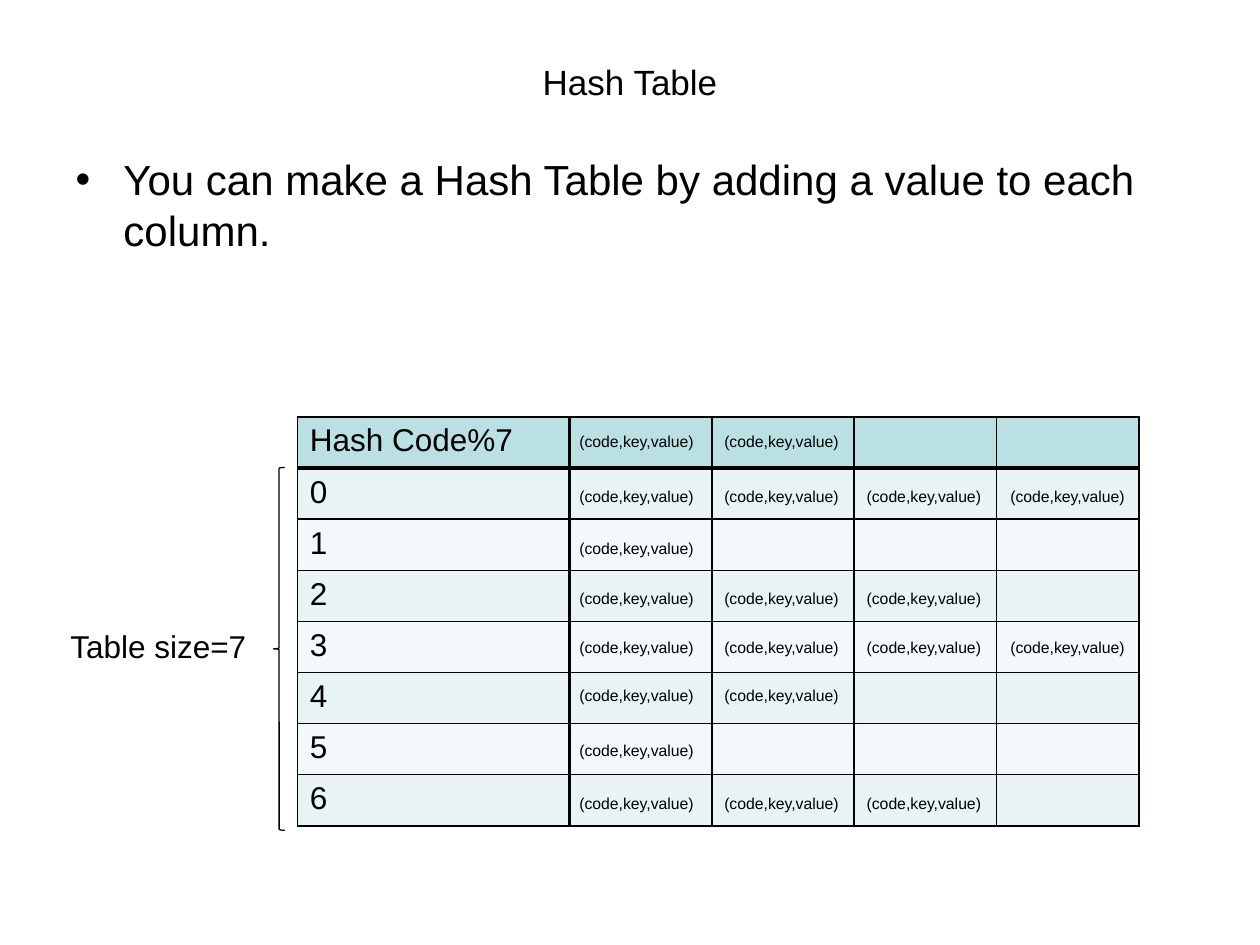
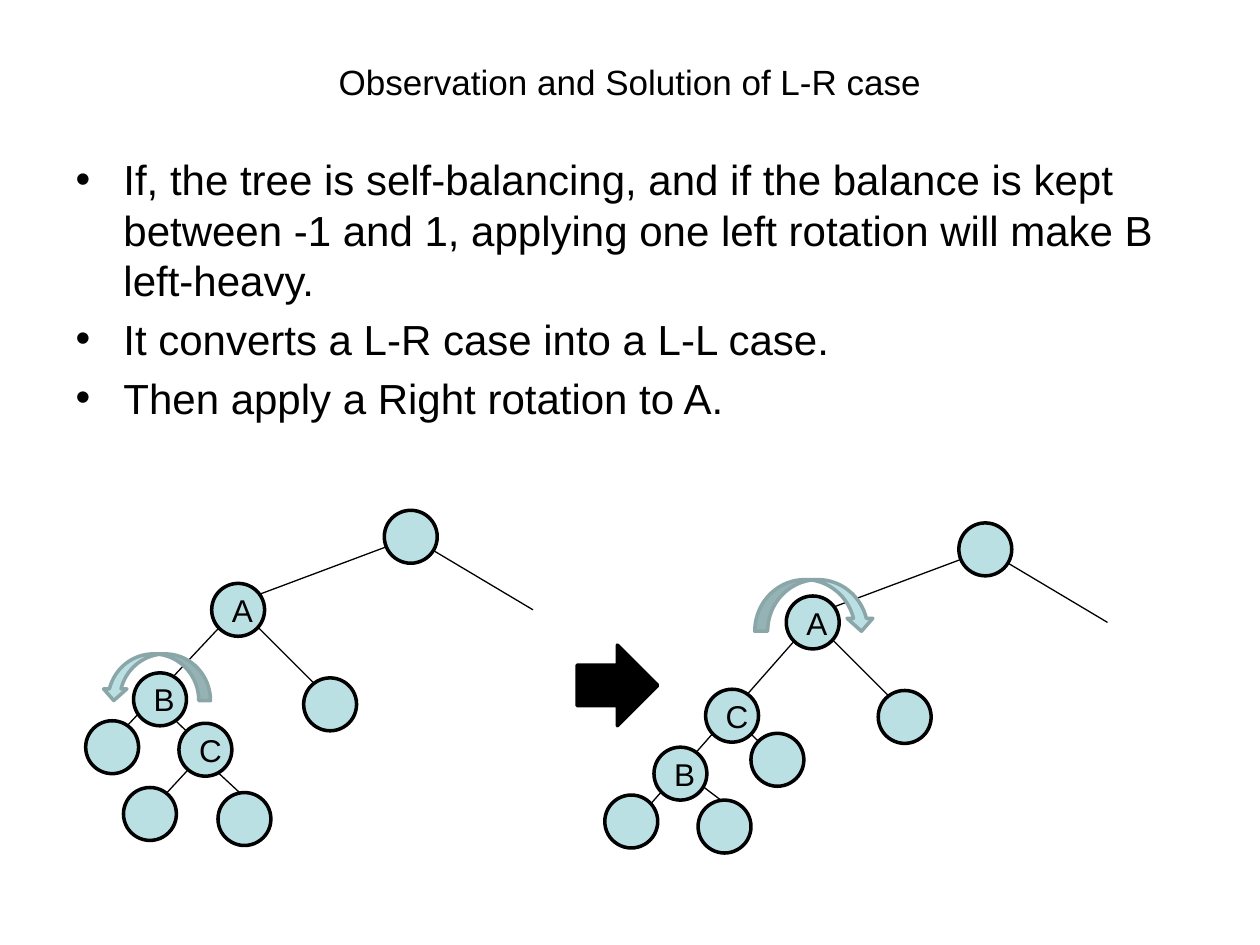
"""Build two slides on hash tables and the left-right tree rotation."""

from lxml.etree import SubElement
from pptx import Presentation
from pptx.dml.color import RGBColor
from pptx.enum.shapes import MSO_CONNECTOR, MSO_SHAPE
from pptx.enum.text import MSO_ANCHOR, MSO_AUTO_SIZE, PP_ALIGN
from pptx.oxml.ns import qn
from pptx.util import Inches, Pt

BLACK = RGBColor(0x00, 0x00, 0x00)
TEAL = RGBColor(0xBB, 0xE0, 0xE3)
TEAL_EDGE = RGBColor(0x8A, 0xA6, 0xA8)
BAND_DARK = RGBColor(0xE7, 0xF3, 0xF4)
BAND_LIGHT = RGBColor(0xF3, 0xF9, 0xFA)
NODE_SIZE = 0.42


def write(para, text, size):
    """Put black Arial text of a given point size in a paragraph."""
    span = para.add_run()
    span.text = text
    for name, value in {"name": "Arial", "size": Pt(size), "bold": False}.items():
        setattr(span.font, name, value)
    span.font.color.rgb = BLACK


def draw(page, kind, place, fill, edge, width):
    """Add a preset shape without shadow."""
    shape = page.shapes.add_shape(kind, *map(Inches, place))
    shape.shadow.inherit = False
    if fill is None:
        shape.fill.background()
    else:
        shape.fill.solid()
        shape.fill.fore_color.rgb = fill
    shape.line.color.rgb = edge
    shape.line.width = Pt(width)
    return shape


deck = Presentation()
deck.slide_width = Inches(10)
deck.slide_height = Inches(7.5)

contents = [
    ("Hash Table", 1.81, ["You can make a Hash Table by adding a value to each column."]),
    ("Observation and Solution of L-R case", 5.53, [
        "If, the tree is self-balancing, and if the balance is kept between -1 and 1, "
        "applying one left rotation will make B left-heavy.",
        "It converts a L-R case into a L-L case.",
        "Then apply a Right rotation to A.",
    ]),
]
pages = []
for heading, body_height, points in contents:
    page = deck.slides.add_slide(deck.slide_layouts[1])
    pages.append(page)
    title, body = page.placeholders
    for box, top, height, anchor in [
        (title, 0.3, 0.7, MSO_ANCHOR.MIDDLE),
        (body, 1.17, body_height, MSO_ANCHOR.TOP),
    ]:
        box.left, box.top, box.width, box.height = map(Inches, (0.5, top, 9, height))
        box.text_frame.vertical_anchor = anchor
        box.text_frame.auto_size = MSO_AUTO_SIZE.NONE
    para = title.text_frame.paragraphs[0]
    para.alignment = PP_ALIGN.CENTER
    write(para, heading, 20)
    for index, point in enumerate(points):
        para = body.text_frame.add_paragraph() if index else body.text_frame.paragraphs[0]
        para.space_before = Pt(4.8 if index else 0)
        settings = para._p.get_or_add_pPr()
        settings.set("marL", str(Inches(0.38)))
        settings.set("indent", str(-Inches(0.38)))
        SubElement(settings, qn("a:buFont"), typeface="Arial")
        SubElement(settings, qn("a:buChar"), char="•")
        write(para, point, 24)

hash_page, rotation_page = pages

row_labels = ["Hash Code%7", *map(str, range(7))]
frame = hash_page.shapes.add_table(8, 5, *map(Inches, (2.36, 3.31, 6.67, 3.24)))
table = frame.table
for index, column in enumerate(table.columns):
    column.width = Inches(1.13 if index else 2.16)
for row_index, label in enumerate(row_labels):
    table.rows[row_index].height = Inches(3.24 / 8)
    for column_index in range(5):
        cell = table.cell(row_index, column_index)
        thick_sides = {"L": column_index == 1, "R": column_index == 0,
                       "T": row_index == 1, "B": row_index == 0}
        for side, thick in thick_sides.items():
            border = SubElement(cell._tc.get_or_add_tcPr(), qn(f"a:ln{side}"),
                                w=str(Pt(2.25 if thick else 1)))
            paint = SubElement(border, qn("a:solidFill"))
            SubElement(paint, qn("a:srgbClr"), val=str(BLACK))
        cell.fill.solid()
        band = BAND_DARK if row_index % 2 else BAND_LIGHT
        cell.fill.fore_color.rgb = band if row_index else TEAL
        if column_index == 0:
            write(cell.text_frame.paragraphs[0], label, 18)

draw(hash_page, MSO_SHAPE.LEFT_BRACE, (2.17, 3.71, 0.09, 2.88), None, BLACK, 0.75)
size_box = hash_page.shapes.add_textbox(*map(Inches, (0.46, 4.93, 1.69, 0.4)))
size_box.text_frame.word_wrap = True
write(size_box.text_frame.paragraphs[0], "Table size=7", 18)

entry_lefts = [4.5, 5.65, 6.78, 7.92]
entry_rows = [(3.38, 2), (3.81, 4), (4.23, 1), (4.62, 3),
              (5.01, 4), (5.39, 2), (5.83, 1), (6.25, 3)]
for top, count in entry_rows:
    for left in entry_lefts[:count]:
        entry = hash_page.shapes.add_textbox(*map(Inches, (left, top, 1.13, 0.25)))
        entry.text_frame.word_wrap = False
        write(entry.text_frame.paragraphs[0], "(code,key,value)", 9)

upper_edges = [(1.89, 4.78, 3.28, 4.26), (2.6, 5.53, 1.94, 4.87), (3.29, 4.28, 4.23, 4.84)]
upper_nodes = [(3.05, 4.05, ""), (1.68, 4.63, "A"), (2.41, 5.38, "")]
trees = [
    {
        "shift": (0, 0),
        "edges": [(2.02, 6.4, 1.61, 6.02), (1.28, 6.34, 1.64, 5.95),
                  (1.9, 4.81, 0.85, 5.93), (1.26, 5.59, 1.58, 5.9)],
        "nodes": [(1.73, 6.29, ""), (0.98, 6.25, ""), (0.68, 5.72, ""),
                  (1.06, 5.34, "B"), (1.42, 5.74, "C")],
        "turn": (MSO_SHAPE.CURVED_UP_ARROW, (0.81, 5.19, 0.86, 0.37), 180),
    },
    {
        "shift": (4.56, 0.1),
        "edges": [(5.84, 6.44, 5.47, 6.16), (6.46, 4.91, 5.05, 6.51),
                  (5.82, 5.69, 6.14, 6)],
        "nodes": [(5.54, 6.35, ""), (4.8, 6.31, ""), (5.19, 5.93, "B"),
                  (5.6, 5.47, "C"), (5.96, 5.82, "")],
        "turn": (MSO_SHAPE.CURVED_DOWN_ARROW, (5.99, 4.6, 0.95, 0.41), 0),
    },
]
for tree in trees:
    right, down = tree["shift"]
    edges = [(x1 + right, y1 + down, x2 + right, y2 + down) for x1, y1, x2, y2 in upper_edges]
    nodes = [(left + right, top + down, name) for left, top, name in upper_nodes]
    for ends in edges + tree["edges"]:
        edge = rotation_page.shapes.add_connector(MSO_CONNECTOR.STRAIGHT, *map(Inches, ends))
        edge.line.color.rgb = BLACK
        edge.line.width = Pt(0.75)
        SubElement(edge._element.spPr, qn("a:effectLst"))
    for left, top, name in nodes + tree["nodes"]:
        node = draw(rotation_page, MSO_SHAPE.OVAL, (left, top, NODE_SIZE, NODE_SIZE),
                    TEAL, BLACK, 2)
        if name:
            para = node.text_frame.paragraphs[0]
            para.alignment = PP_ALIGN.CENTER
            write(para, name, 18)
    kind, place, angle = tree["turn"]
    turn = draw(rotation_page, kind, place, TEAL, TEAL_EDGE, 2)
    turn.rotation = angle

draw(rotation_page, MSO_SHAPE.RIGHT_ARROW, (4.58, 5.12, 0.64, 0.64), BLACK, BLACK, 2)

deck.save("out.pptx")
